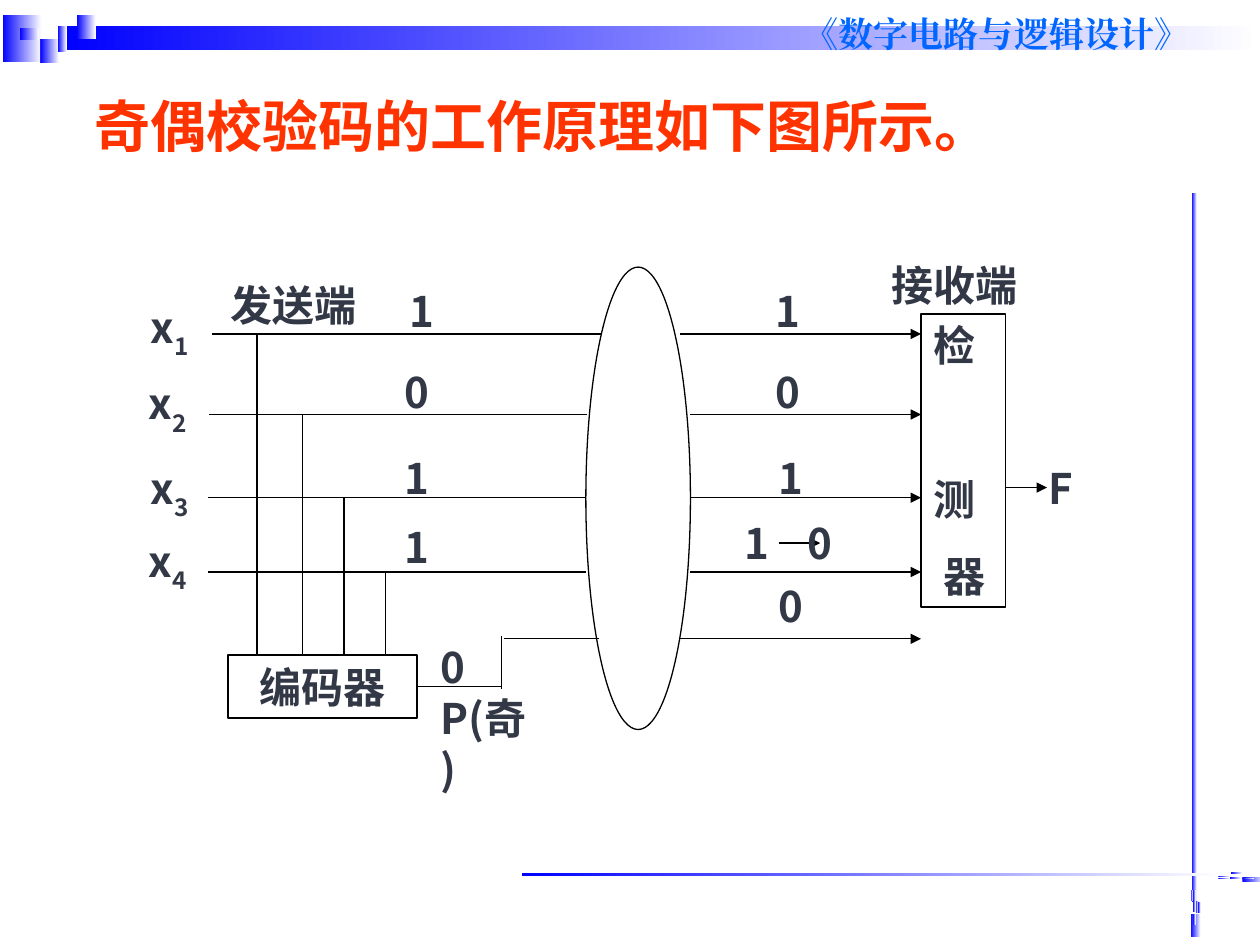
from typing import NamedTuple

from lxml.etree import SubElement
from pptx import Presentation
from pptx.dml.color import RGBColor
from pptx.enum.shapes import MSO_CONNECTOR as Connector, MSO_SHAPE as Preset
from pptx.enum.text import MSO_ANCHOR as Anchor, MSO_AUTO_SIZE as AutoSize, PP_ALIGN as Align
from pptx.oxml.ns import qn
from pptx.util import Inches, Pt

COLORS = {
    "blue": "0000FF",
    "white": "FFFFFF",
    "course": "0066FF",
    "title": "FF3300",
    "text": "323846",
    "line": "000000",
}
SANS = "Noto Sans CJK SC"
SERIF = "Times New Roman"
TITLE_ONLY = 5


class Box(NamedTuple):
    left: float
    top: float
    width: float
    height: float

    def lengths(self):
        return [Inches(value) for value in self]


class Label(NamedTuple):
    text: str
    left: float
    top: float
    width: float = 0.5
    height: float = 0.5
    subscript: str = ""


class Wire(NamedTuple):
    x1: float
    y1: float
    x2: float
    y2: float
    arrow: bool = False


class Channel(NamedTuple):
    """One row of the link: input wire, link edges and arrow."""
    y: float
    start: float
    link_left: float
    link_right: float
    tap: float
    name_left: float
    name_top: float


TOP_BAND = [
    Box(0.02, 0.12, 0.31, 0.37), Box(0.47, 0.21, 9.53, 0.19), Box(0.46, 0.21, 0.07, 0.1),
    Box(0.61, 0.12, 0.15, 0.1), Box(0.61, 0.21, 0.15, 0.1), Box(0.32, 0.31, 0.15, 0.1),
    Box(0.16, 0.22, 0.15, 0.1), Box(0.46, 0.31, 0.07, 0.1), Box(0.32, 0.41, 0.15, 0.09),
]
RIGHT_BAND = [Box(9.45, 7.25, 0.08, 0.19), Box(9.46, 1.53, 0.04, 5.63)] + [
    Box(left, top, 0.02, 0.09)
    for left, top in [(9.47, 7.15), (9.45, 7.06), (9.47, 7.06), (9.49, 7.16),
                      (9.47, 7.25), (9.49, 7.15), (9.51, 7.16)]
]
BOTTOM_BAND = [Box(9.86, 6.96, 0.18, 0.04), Box(4.14, 6.93, 5.57, 0.02)] + [
    Box(left, top, 0.09, 0.01)
    for left, top in [(9.76, 6.97), (9.67, 6.95), (9.67, 6.97), (9.77, 6.93),
                      (9.86, 6.97), (9.76, 6.96), (9.77, 6.92)]
]

DETECTOR = Box(7.31, 2.49, 0.67, 2.33)
LINK = Box(4.65, 2.12, 0.83, 3.67)
ENCODER = Box(1.81, 5.2, 1.5, 0.5)
CHANNELS = [
    Channel(2.65, 1.68, 4.77, 5.4, 2.04, 1.1, 2.34),
    Channel(3.29, 1.66, 4.66, 5.48, 2.4, 1.08, 2.95),
    Channel(3.95, 1.65, 4.65, 5.48, 2.73, 1.1, 3.62),
    Channel(4.54, 1.65, 4.65, 5.48, 3.06, 1.08, 4.2),
]
PARITY_WIRES = [
    Wire(4.75, 5.07, 4, 5.07),
    Wire(3.98, 5.05, 3.98, 5.47),
    Wire(5.4, 5.07, DETECTOR.left, 5.07, arrow=True),
]
OUTPUT_WIRE = Wire(7.98, 3.87, 8.31, 3.87, arrow=True)
ERROR_WIRE = Wire(6.18, 4.31, 6.51, 4.31, arrow=True)
LABELS = [
    Label("1", 3.15, 2.22), Label("0", 3.11, 2.86), Label("1", 3.11, 3.54), Label("1", 3.11, 4.09),
    Label("1", 6.06, 2.22), Label("0", 6.06, 2.86), Label("1", 6.08, 3.54),
    Label("1", 5.81, 4.06), Label("0", 6.31, 4.06), Label("0", 6.08, 4.56),
    Label("0", 3.4, 5.04), Label("F", 8.22, 3.62), Label("P(奇)", 3.4, 5.45, 0.92, 0.9),
    Label("发送端", 1.73, 2.17, 1.25), Label("接收端", 6.98, 2.01, 1.25),
]


def rgb(name: str) -> RGBColor:
    return RGBColor.from_string(COLORS[name])


def format_run(run, size: float = 24, color: str = "text", font: str = SANS) -> None:
    run.font.size = Pt(size)
    run.font.bold = True
    run.font.color.rgb = rgb(color)
    run.font.name = font
    SubElement(run.font._element, qn("a:ea")).set("typeface", font)


def fill_text(shape, text: str, align=Align.LEFT, **style) -> None:
    frame = shape.text_frame
    frame.word_wrap = True
    frame.auto_size = AutoSize.NONE
    frame.vertical_anchor = Anchor.TOP
    frame.text = text
    for paragraph in frame.paragraphs:
        paragraph.alignment = align
        for run in paragraph.runs:
            format_run(run, **style)


def add_gradient_bar(slide, box: Box) -> None:
    bar = slide.shapes.add_shape(Preset.RECTANGLE, *box.lengths())
    bar.shadow.inherit = False
    bar.line.fill.background()
    bar.fill.gradient()
    bar.fill.gradient_angle = 0
    for stop, color in zip(bar.fill.gradient_stops, ("blue", "white")):
        stop.color.rgb = rgb(color)


def add_outline(slide, preset, box: Box, width: float, text: str = ""):
    shape = slide.shapes.add_shape(preset, *box.lengths())
    shape.shadow.inherit = False
    shape.fill.background()
    shape.line.color.rgb = rgb("line")
    shape.line.width = Pt(width)
    if text:
        fill_text(shape, text)
    return shape


def add_wire(slide, wire: Wire):
    ends = [Inches(value) for value in wire[:4]]
    connector = slide.shapes.add_connector(Connector.STRAIGHT, *ends)
    connector.line.color.rgb = rgb("line")
    connector.line.width = Pt(0.75)
    if wire.arrow:
        SubElement(connector.line._get_or_add_ln(), qn("a:tailEnd")).set("type", "triangle")
    SubElement(connector._element.spPr, qn("a:effectLst"))
    return connector


def add_label(slide, label: Label, **style) -> None:
    box = slide.shapes.add_textbox(*Box(*label[1:5]).lengths())
    fill_text(box, label.text, **style)
    if label.subscript:
        run = box.text_frame.paragraphs[0].add_run()
        run.text = label.subscript
        format_run(run)
        run.font._element.set("baseline", "-30000")


def add_detector(slide) -> None:
    detector = add_outline(slide, Preset.RECTANGLE, DETECTOR, 1, "检\n测\n器")
    _, middle, last = detector.text_frame.paragraphs
    middle.space_before = Pt(59)
    last.space_before = Pt(15)
    last._p.get_or_add_pPr().set("marL", str(Inches(0.08)))


def main() -> None:
    presentation = Presentation()
    presentation.slide_width, presentation.slide_height = Inches(10), Inches(7.5)
    slide = presentation.slides.add_slide(presentation.slide_layouts[TITLE_ONLY])

    for box in TOP_BAND + RIGHT_BAND + BOTTOM_BAND:
        add_gradient_bar(slide, box)
    add_label(slide, Label("《数字电路与逻辑设计》", 6.18, 0.05, 3.46, 0.44),
              align=Align.CENTER, size=20, color="course", font=SERIF)

    title = slide.shapes.title
    title.left, title.top, title.width, title.height = Box(0.65, 0.68, 8.53, 0.64).lengths()
    fill_text(title, "奇偶校验码的工作原理如下图所示。", size=32, color="title")

    add_detector(slide)
    add_outline(slide, Preset.OVAL, LINK, 0.75)
    encoder = add_outline(slide, Preset.RECTANGLE, ENCODER, 1, "编码器")
    encoder.text_frame.paragraphs[0].alignment = Align.CENTER

    for number, channel in enumerate(CHANNELS, start=1):
        y = channel.y
        add_wire(slide, Wire(channel.link_left, y, channel.start, y))
        add_wire(slide, Wire(channel.link_right, y, DETECTOR.left, y, arrow=True))
        add_wire(slide, Wire(channel.tap, y, channel.tap, ENCODER.top))
        add_label(slide, Label("x", channel.name_left, channel.name_top, 0.67, 0.57, str(number)))

    parity_output = add_wire(slide, Wire(3.31, 5.45, 3.98, 5.45))
    parity_output.begin_connect(encoder, 3)
    for wire in PARITY_WIRES + [OUTPUT_WIRE, ERROR_WIRE]:
        add_wire(slide, wire)
    for label in LABELS:
        add_label(slide, label)

    presentation.save("out.pptx")


if __name__ == "__main__":
    main()
